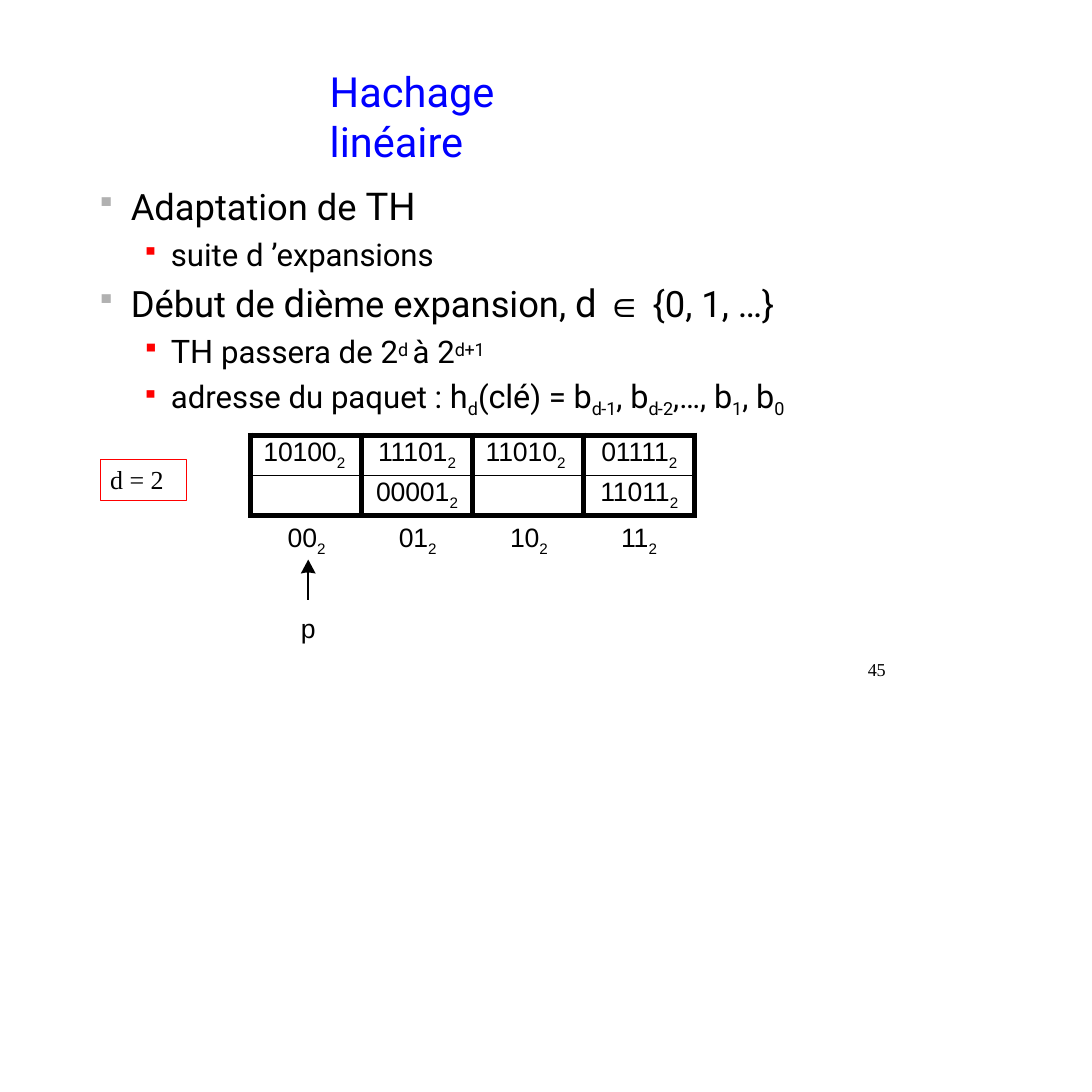
"""Build the slide on linear hashing."""
from lxml import etree
from pptx import Presentation
from pptx import util as u
from pptx.dml.color import RGBColor
from pptx.enum import shapes, text
from pptx.oxml import ns

INK = {"black": "000000", "white": "FFFFFF", "blue": "0000FF",
       "red": "FF0000", "grey": "B1B1B1"}
ROBOTO, ARIAL, TIMES = "Roboto", "Arial", "Times New Roman"


def write(par, runs, name, ink="black"):
    """Add runs of (text, size, baseline percent, spacing in points)."""
    for words, size, *rest in runs:
        base, gap = (rest + [0, 0])[:2]
        run = par.add_run()
        run.text = words
        form = {"name": ARIAL if "∈" in words else name, "size": u.Pt(size)}
        for key, val in form.items():
            setattr(run.font, key, val)
        run.font.color.rgb = RGBColor.from_string(INK[ink])
        props = run._r.get_or_add_rPr()
        for key, val in {"baseline": base * 1000, "spc": round(gap * 100)}.items():
            if val:
                props.set(key, str(val))


def setup(shape, top, left=0):
    """Set insets, wrap and anchor; return the first paragraph."""
    frame = shape.text_frame
    form = {"margin_left": u.Inches(left), "margin_top": u.Inches(top),
            "margin_right": 0, "margin_bottom": 0, "word_wrap": True,
            "vertical_anchor": text.MSO_ANCHOR.TOP}
    for key, val in form.items():
        setattr(frame, key, val)
    par = frame.paragraphs[0]
    par.alignment = text.PP_ALIGN.LEFT
    return par


deck = Presentation()
deck.slide_width = deck.slide_height = u.Inches(11.69)
slide = deck.slides.add_slide(deck.slide_layouts[6])
items = slide.shapes

points = [
    (0, 0, [("Adaptation de ", 28), ("TH", 29.5, 0, -0.2)]),
    (1, 5.5, [("suite d ", 24), ("’expansions", 24, 0, -0.1)]),
    (0, 5, [("Début de ", 28), ("d", 29.5), ("ième expansion, ", 28),
            ("d ", 29.5), ("∈ ", 28), ("{0, 1, ", 28), ("…}", 28, 0, -0.2)]),
    (1, 4.8, [("TH ", 25, 0, -0.1), ("passera de 2", 24), ("d ", 24, 24),
              ("à ", 24), ("2", 24, 0, -0.2), ("d+1", 24, 24, -0.3)]),
    (1, 4.6, [("adresse du paquet : ", 24), ("h", 25, 0, -0.1),
              ("d", 24, -21, -0.1), ("(", 24, 0, -0.1), ("clé", 25, 0, -0.1),
              (") ", 24, 0, -0.1), ("= ", 24),
              ("b", 25, 0, -0.3), ("d-", 24, -21, -0.5), ("1", 24, -21), (", ", 24),
              ("b", 25, 0, -0.3), ("d-", 24, -21, -0.5), ("2", 24, -21), (",…, ", 24),
              ("b", 25), ("1", 24, -21), (", ", 24),
              ("b", 25, 0, -0.2), ("0", 24, -21, -0.4)]),
]
levels = [(0.42, -0.37, "grey"), (0.85, -0.31, "red")]
body = items.add_textbox(u.Inches(0.98), u.Inches(1.84), u.Inches(7.99), u.Inches(2.61))
setup(body, 0.11)
for row, (level, space, runs) in enumerate(points):
    par = body.text_frame.add_paragraph() if row else body.text_frame.paragraphs[0]
    left, hang, ink = levels[level]
    par.level = level
    par.space_before = u.Pt(space)
    props = par._p.get_or_add_pPr()
    props.set("marL", str(u.Inches(left)))
    props.set("indent", str(u.Inches(hang)))
    tint = etree.SubElement(props, ns.qn("a:buClr"))
    etree.SubElement(tint, ns.qn("a:srgbClr"), val=INK[ink])
    etree.SubElement(props, ns.qn("a:buSzPct"), val="75000")
    etree.SubElement(props, ns.qn("a:buChar"), char="▪")
    write(par, runs, ROBOTO)

keys = [["10100", "11101", "11010", "01111"], ["", "00001", "", "11011"]]
step, high = 1.19, 0.43
table = items.add_table(2, 4, u.Inches(2.68), u.Inches(4.66),
                        u.Inches(4 * step), u.Inches(2 * high)).table
table.first_row = table.horz_banding = False
for col in table.columns:
    col.width = u.Inches(step)
for y, row in enumerate(keys):
    table.rows[y].height = u.Inches(high)
    for x, key in enumerate(row):
        cell = table.cell(y, x)
        form = {"margin_left": 0 if x % 2 else u.Inches(0.14), "margin_right": 0,
                "margin_top": u.Inches(0.02), "margin_bottom": 0}
        for name, val in form.items():
            setattr(cell, name, val)
        par = cell.text_frame.paragraphs[0]
        par.alignment = text.PP_ALIGN.CENTER if x % 2 else text.PP_ALIGN.LEFT
        if key:
            write(par, [(key, 20.5, 0, -0.1), ("2", 20.2, -27, -0.1)], ARIAL)
        props = cell._tc.get_or_add_tcPr()
        edges = {"L": 4.5, "R": 4.5, "T": 1.5 if y else 4.5, "B": 4.5 if y else 1.5}
        for side, width in edges.items():
            edge = etree.SubElement(props, ns.qn("a:ln" + side), w=str(u.Pt(width)))
            fill = etree.SubElement(edge, ns.qn("a:solidFill"))
            etree.SubElement(fill, ns.qn("a:srgbClr"), val=INK["black"])
        cell.fill.solid()
        cell.fill.fore_color.rgb = RGBColor.from_string(INK["white"])

notes = [
    (3.53, 0.7, 3.28, 0.56, 0.01, 0, [("Hachage linéaire", 32)], ROBOTO, "blue"),
    (3.21, 6.53, 0.19, 0.38, 0.02, 0.01, [("p", 20.5)], ARIAL, "black"),
]
for x, code in enumerate(["00", "01", "10", "11"]):
    runs = [(code, 20.5, 0, -0.2), ("2", 20.2, -27, -0.4)]
    notes.append((3.04 + x * step, 5.56, 0.51, 0.38, 0.02, 0.04, runs, ARIAL, "black"))
for x, y, wide, tall, top, left, runs, name, ink in notes:
    box = items.add_textbox(u.Inches(x), u.Inches(y), u.Inches(wide), u.Inches(tall))
    write(setup(box, top, left), runs, name, ink)

stem = items.add_connector(shapes.MSO_CONNECTOR.STRAIGHT, u.Inches(3.3),
                           u.Inches(6.42), u.Inches(3.3), u.Inches(6.1))
stem.line.width = u.Pt(1.25)
stem.line.color.rgb = RGBColor.from_string(INK["black"])
etree.SubElement(stem._element.spPr, ns.qn("a:effectLst"))
pen = items.build_freeform(u.Inches(3.3), u.Inches(5.99))
pen.add_line_segments([(u.Inches(x), u.Inches(y)) for x, y in
                       [(3.22, 6.14), (3.27, 6.13), (3.32, 6.13), (3.38, 6.14)]])
head = pen.convert_to_shape()
head.shadow.inherit = False
head.fill.solid()
head.fill.fore_color.rgb = RGBColor.from_string(INK["black"])
head.line.fill.background()

depth = items.add_shape(shapes.MSO_SHAPE.RECTANGLE, u.Inches(1.08), u.Inches(4.92),
                        u.Inches(0.92), u.Inches(0.44))
depth.shadow.inherit = False
depth.fill.background()
depth.line.width = u.Pt(0.75)
depth.line.color.rgb = RGBColor.from_string(INK["red"])
write(setup(depth, 0.04, 0.1), [("d = 2", 20)], TIMES)

page = items.add_textbox(u.Inches(9.25), u.Inches(7.05), u.Inches(0.29), u.Inches(0.24))
par = setup(page, 0, 0.04)
par.line_spacing = u.Pt(16.3)
write(par, [("45", 14, 0, -0.2)], TIMES)

deck.save("out.pptx")
